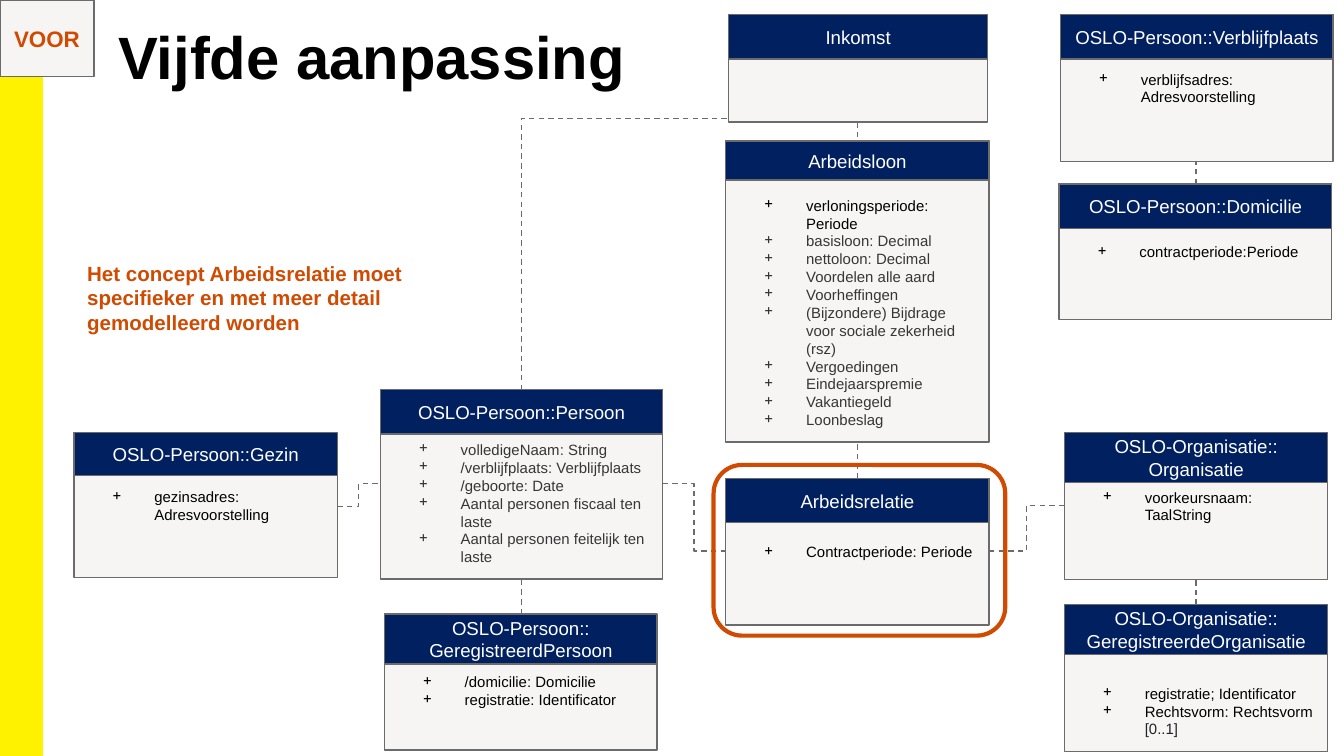
from dataclasses import dataclass

from lxml import etree
from pptx import Presentation
from pptx import util as u
from pptx.dml.color import RGBColor
from pptx.enum import dml, shapes, text
from pptx.oxml import ns

COLOURS = {
    "yellow": "FFF200",
    "navy": "002060",
    "paper": "F6F5F3",
    "grey": "6B6B6B",
    "orange": "D04A02",
    "black": "000000",
    "dark": "373636",
    "ink": "202124",
    "white": "FFFFFF",
}
FONT = "Arial"
PAGE_WIDTH = 10
PAGE_HEIGHT = PAGE_WIDTH * 9 / 16
MIDDLE = text.MSO_ANCHOR.MIDDLE
BOTTOM = text.MSO_ANCHOR.BOTTOM
RECTANGLE = shapes.MSO_SHAPE.RECTANGLE


@dataclass(frozen=True)
class Attribute:
    label: str
    colour: str = "black"
    suffix: str = ""


@dataclass(frozen=True)
class UmlClass:
    name: str
    left: float
    top: float
    width: float
    height: float
    header: float
    attributes: tuple[Attribute, ...] = ()
    anchor: text.MSO_ANCHOR = MIDDLE
    body_offset: float = 0
    inset_top: float = 0.1


@dataclass(frozen=True)
class Relation:
    start: tuple[float, float]
    end: tuple[float, float]
    bend: float = 0.5


def dark(*labels: str) -> tuple[Attribute, ...]:
    return tuple(Attribute(label, "dark") for label in labels)


CLASSES = (
    UmlClass("OSLO-Persoon::Gezin", 0.55, 3.22, 1.96, 1.08, 0.32,
             (Attribute("gezinsadres: Adresvoorstelling"),), body_offset=0.01),
    UmlClass("OSLO-Persoon::Persoon", 2.83, 2.9, 2.1, 1.41, 0.33,
             dark("volledigeNaam: String", "/verblijfplaats: Verblijfplaats",
                  "/geboorte: Date", "Aantal personen fiscaal ten laste",
                  "Aantal personen feitelijk ten laste"), BOTTOM),
    UmlClass("Arbeidsrelatie", 5.4, 3.56, 1.96, 1.09, 0.33,
             (Attribute("Contractperiode: Periode"),)),
    UmlClass("Arbeidsloon", 5.4, 1.05, 1.96, 2.24, 0.29,
             (Attribute("verloningsperiode: Periode"),
              *dark("basisloon: Decimal", "nettoloon: Decimal",
                    "Voordelen alle aard", "Voorheffingen",
                    "(Bijzondere) Bijdrage voor sociale zekerheid (rsz)",
                    "Vergoedingen", "Eindejaarspremie", "Vakantiegeld",
                    "Loonbeslag")), BOTTOM),
    UmlClass("OSLO-Organisatie::\nOrganisatie", 7.92, 3.22, 1.96, 1.09, 0.37,
             (Attribute("voorkeursnaam: TaalString"),)),
    UmlClass("Inkomst", 5.42, 0.11, 1.93, 0.8, 0.33, body_offset=0.27),
    UmlClass("OSLO-Persoon::\nGeregistreerdPersoon", 2.86, 4.57, 2.03, 1.01, 0.37,
             (Attribute("/domicilie: Domicilie"),
              Attribute("registratie: Identificator")), inset_top=0.23),
    UmlClass("OSLO-Organisatie::\nGeregistreerdeOrganisatie", 7.92, 4.5, 1.96, 1.09, 0.37,
             (Attribute("registratie; Identificator"),
              Attribute("Rechtsvorm: Rechtsvorm ", suffix="[0..1]")), BOTTOM),
    UmlClass("OSLO-Persoon::Domicilie", 7.88, 1.37, 2.03, 1.01, 0.33,
             (Attribute("contractperiode:Periode"),)),
    UmlClass("OSLO-Persoon::Verblijfplaats", 7.89, 0.11, 2.03, 1.09, 0.33,
             (Attribute("verblijfsadres: Adresvoorstelling"),)),
)

RELATIONS = (
    Relation((2.51, 3.77), (2.83, 3.6)),
    Relation((4.93, 3.6), (5.4, 4.1)),
    Relation((7.92, 3.76), (7.36, 4.1)),
    Relation((5.41, 0.88), (3.88, 2.9), bend=1),
    Relation((6.38, 3.56), (6.38, 3.29)),
    Relation((6.38, 0.91), (6.38, 1.05)),
    Relation((3.88, 4.57), (3.88, 4.31)),
    Relation((8.9, 4.5), (8.9, 4.31)),
    Relation((8.9, 1.37), (8.9, 1.2)),
)


def rgb(colour: str) -> RGBColor:
    return RGBColor.from_string(COLOURS[colour])


def add_box(page, left: float, top: float, width: float, height: float, *,
            fill: str | None = "paper", line: str = "grey",
            weight: float = 0.75, kind=RECTANGLE):
    box = page.shapes.add_shape(kind, u.Inches(left), u.Inches(top),
                                u.Inches(width), u.Inches(height))
    box.shadow.inherit = False
    if fill:
        box.fill.solid()
        box.fill.fore_color.rgb = rgb(fill)
    else:
        box.fill.background()
    box.line.color.rgb = rgb(line)
    box.line.width = u.Pt(weight)
    return box


def set_frame(box, *, anchor=MIDDLE, side: float = 0.1, top: float = 0.1,
              bottom: float = 0.1):
    frame = box.text_frame
    frame.word_wrap = True
    frame.vertical_anchor = anchor
    frame.margin_left = frame.margin_right = u.Inches(side)
    frame.margin_top, frame.margin_bottom = u.Inches(top), u.Inches(bottom)
    return frame


def write(para, content: str, *, size: float, colour: str, bold: bool = False,
          align=text.PP_ALIGN.LEFT) -> None:
    para.alignment = align
    span = para.add_run()
    span.text = content
    span.font.name = FONT
    span.font.size = u.Pt(size)
    span.font.bold = bold
    span.font.color.rgb = rgb(colour)


def add_bullet(para, colour: str) -> None:
    properties = para._p.get_or_add_pPr()
    properties.set("marL", str(u.Inches(0.5)))
    properties.set("indent", str(u.Inches(-0.31)))
    tint = etree.SubElement(properties, ns.qn("a:buClr"))
    etree.SubElement(tint, ns.qn("a:srgbClr"), val=COLOURS[colour])
    etree.SubElement(properties, ns.qn("a:buChar"), char="+")


def next_paragraph(frame, index: int):
    return frame.add_paragraph() if index else frame.paragraphs[0]


def draw_class(page, item: UmlClass) -> None:
    body = add_box(page, item.left, item.top + item.body_offset, item.width,
                   item.height - item.body_offset)
    frame = set_frame(body, anchor=item.anchor, top=item.inset_top)
    for index, attribute in enumerate(item.attributes):
        para = next_paragraph(frame, index)
        add_bullet(para, attribute.colour)
        write(para, attribute.label, size=8, colour=attribute.colour)
        if attribute.suffix:
            write(para, attribute.suffix, size=8, colour="ink")
    header = add_box(page, item.left, item.top, item.width, item.header, fill="navy")
    frame = set_frame(header)
    for index, name in enumerate(item.name.split("\n")):
        write(next_paragraph(frame, index), name, size=10, colour="white",
              align=text.PP_ALIGN.CENTER)


def draw_relation(page, relation: Relation) -> None:
    straight = relation.start[0] == relation.end[0]
    kind = shapes.MSO_CONNECTOR.STRAIGHT if straight else shapes.MSO_CONNECTOR.ELBOW
    points = (u.Inches(value) for value in relation.start + relation.end)
    connector = page.shapes.add_connector(kind, *points)
    connector.line.color.rgb = rgb("grey")
    connector.line.width = u.Pt(0.75)
    connector.line.dash_style = dml.MSO_LINE.DASH
    properties = connector._element.spPr
    etree.SubElement(properties, ns.qn("a:effectLst"))
    if not straight:
        guides = properties.find(ns.qn("a:prstGeom")).find(ns.qn("a:avLst"))
        etree.SubElement(guides, ns.qn("a:gd"), name="adj1",
                         fmla=f"val {round(relation.bend * 100000)}")


def main() -> None:
    deck = Presentation()
    deck.slide_width, deck.slide_height = u.Inches(PAGE_WIDTH), u.Inches(PAGE_HEIGHT)
    page = deck.slides.add_slide(deck.slide_layouts[6])
    add_box(page, 0, 0, 0.31, PAGE_HEIGHT, fill="yellow", line="yellow", weight=1)

    title = add_box(page, 0.81, 0.11, 5.03, 0.81, fill=None, line="white")
    frame = set_frame(title, anchor=text.MSO_ANCHOR.TOP, side=0.07, top=0.04, bottom=0.04)
    write(frame.paragraphs[0], "Vijfde aanpassing", size=32, colour="black", bold=True)

    for item in CLASSES:
        draw_class(page, item)
    for relation in RELATIONS:
        draw_relation(page, relation)

    remark = page.shapes.add_textbox(u.Inches(0.55), u.Inches(1.84),
                                     u.Inches(3.16), u.Inches(0.76))
    frame = set_frame(remark, anchor=text.MSO_ANCHOR.TOP)
    write(frame.paragraphs[0],
          "Het concept Arbeidsrelatie moet specifieker en met meer detail "
          "gemodelleerd worden", size=11, colour="orange", bold=True)

    badge = add_box(page, 0, 0, 0.7, 0.57)
    write(set_frame(badge).paragraphs[0], "VOOR", size=12, colour="orange", bold=True,
          align=text.PP_ALIGN.CENTER)
    add_box(page, 5.31, 3.46, 2.17, 1.27, fill=None, line="orange", weight=2.25,
            kind=shapes.MSO_SHAPE.ROUNDED_RECTANGLE)
    deck.save("out.pptx")


if __name__ == "__main__":
    main()
